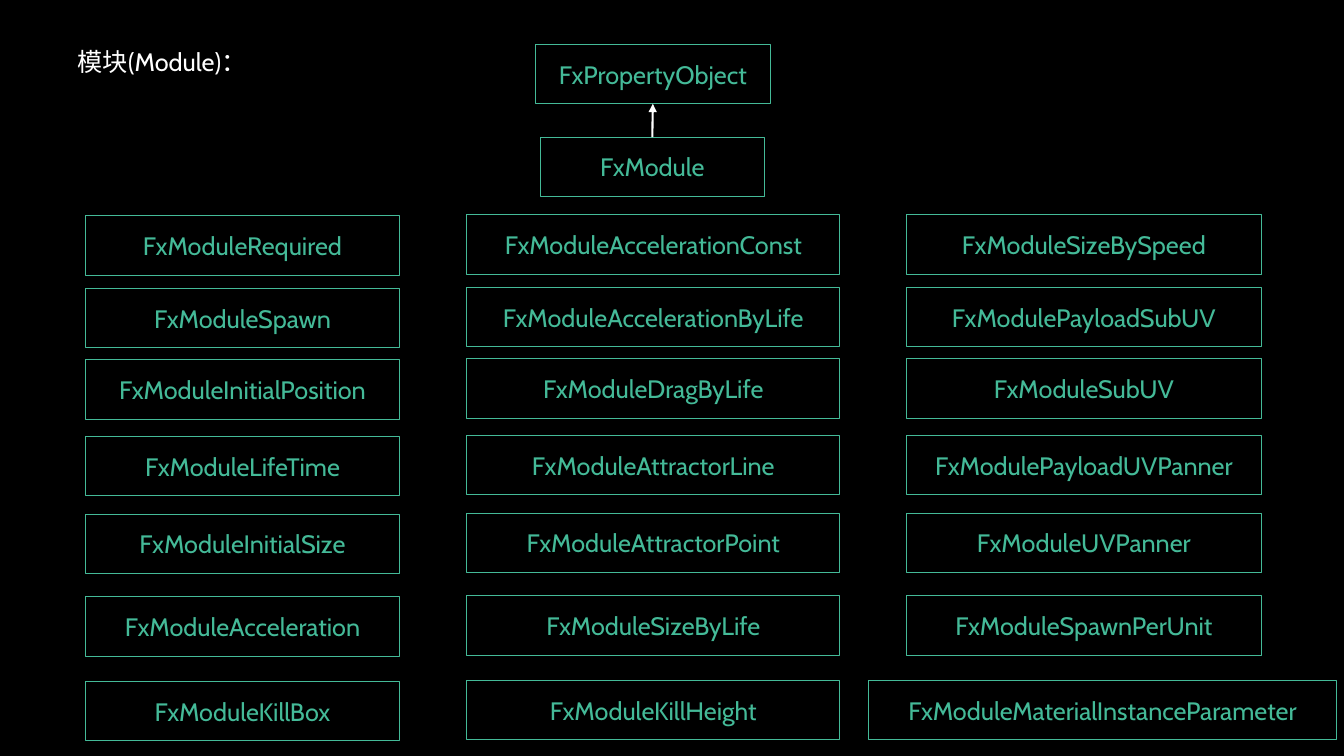
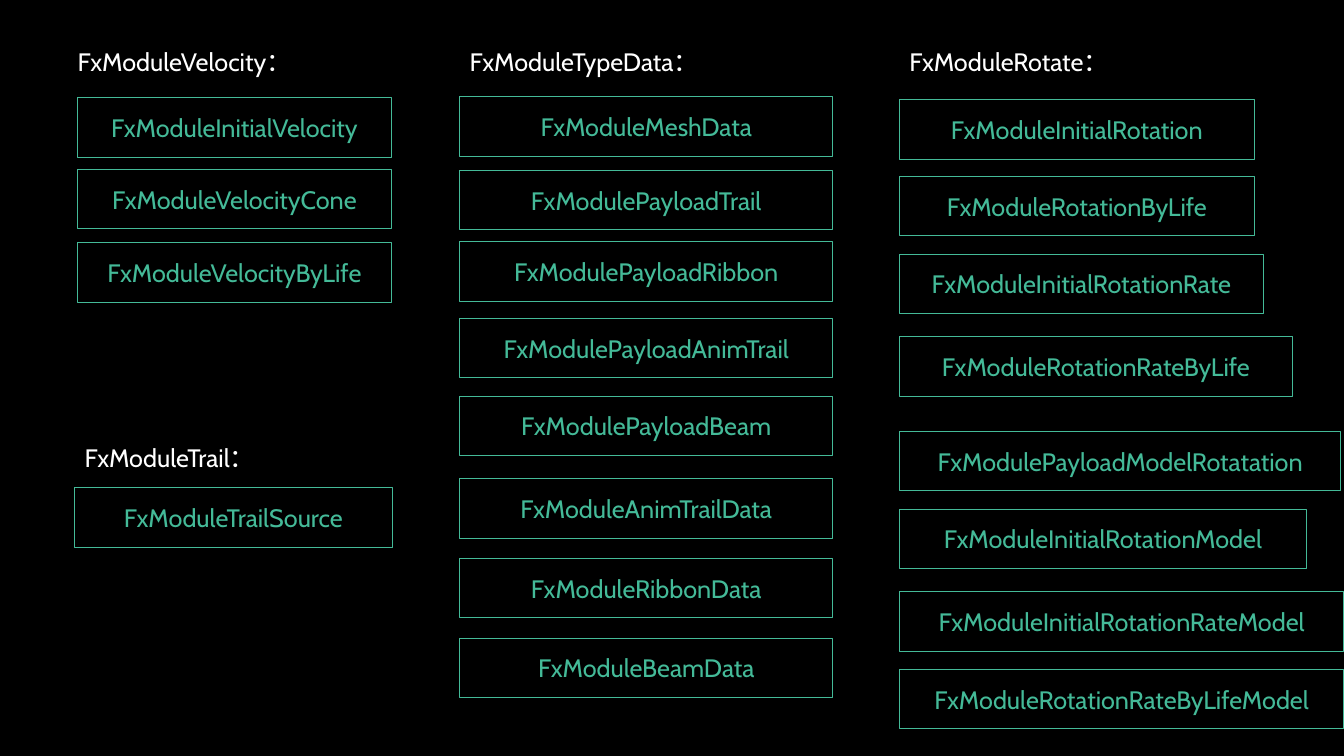
from pptx import Presentation
from pptx.dml.color import RGBColor
from pptx.enum.shapes import MSO_CONNECTOR, MSO_SHAPE
from pptx.enum.text import MSO_ANCHOR, MSO_AUTO_SIZE, PP_ALIGN
from pptx.oxml.ns import qn
from pptx.util import Emu, Pt
from lxml import etree

EMU_PER_PX = 9144
SLIDE_SIZE = (1333, 750)
HEADING_SIZE = (270, 40)
TITLE_AT = (67, 41)
BOX_HEIGHT = 59
TOP_SITE, BOTTOM_SITE = 0, 2

FONT = "Cabin"
FONT_SIZE = 18
BLACK = "000000"
WHITE = "FFFFFF"
GREEN = "44BA98"

ROW_TOPS = [213, 285, 356, 432, 509, 591, 675]

MODULE_SLIDE = {
    "title": "模块(Module)：",
    "headings": [],
    "inheritance": [
        ("FxPropertyObject", 531, 44, 233),
        ("FxModule", 536, 136, 222),
    ],
    "columns": [
        (85, 311, [top + 1 for top in ROW_TOPS], [
            "FxModuleRequired", "FxModuleSpawn", "FxModuleInitialPosition",
            "FxModuleLifeTime", "FxModuleInitialSize",
            "FxModuleAcceleration", "FxModuleKillBox",
        ]),
        (463, 370, ROW_TOPS, [
            "FxModuleAccelerationConst", "FxModuleAccelerationByLife",
            "FxModuleDragByLife", "FxModuleAttractorLine",
            "FxModuleAttractorPoint", "FxModuleSizeByLife",
            "FxModuleKillHeight",
        ]),
        (899, 352, ROW_TOPS[:-1], [
            "FxModuleSizeBySpeed", "FxModulePayloadSubUV", "FxModuleSubUV",
            "FxModulePayloadUVPanner", "FxModuleUVPanner",
            "FxModuleSpawnPerUnit",
        ]),
        (861, 465, ROW_TOPS[-1:], ["FxModuleMaterialInstanceParameter"]),
    ],
}

SUBMODULE_SLIDE = {
    "title": "FxModuleVelocity：",
    "headings": [
        ("FxModuleTypeData：", 456, 41),
        ("FxModuleRotate：", 892, 41),
        ("FxModuleTrail：", 74, 434),
    ],
    "inheritance": [],
    "columns": [
        (77, 311, [97, 168, 241], [
            "FxModuleInitialVelocity", "FxModuleVelocityCone",
            "FxModuleVelocityByLife",
        ]),
        (74, 315, [484], ["FxModuleTrailSource"]),
        (456, 370, [96, 169, 240, 316, 393, 475, 554, 633], [
            "FxModuleMeshData", "FxModulePayloadTrail",
            "FxModulePayloadRibbon", "FxModulePayloadAnimTrail",
            "FxModulePayloadBeam", "FxModuleAnimTrailData",
            "FxModuleRibbonData", "FxModuleBeamData",
        ]),
        (892, 352, [99, 175], [
            "FxModuleInitialRotation", "FxModuleRotationByLife",
        ]),
        (892, 361, [252], ["FxModuleInitialRotationRate"]),
        (892, 390, [334], ["FxModuleRotationRateByLife"]),
        (892, 438, [428], ["FxModulePayloadModelRotatation"]),
        (892, 404, [505], ["FxModuleInitialRotationModel"]),
        (892, 441, [587, 664], [
            "FxModuleInitialRotationRateModel",
            "FxModuleRotationRateByLifeModel",
        ]),
    ],
}


def px(length):
    return Emu(length * EMU_PER_PX)


def color(hex_string):
    return RGBColor.from_string(hex_string)


def write_text(shape, text, text_color, alignment, anchor):
    frame = shape.text_frame
    frame.text = text
    frame.word_wrap = True
    frame.auto_size = MSO_AUTO_SIZE.NONE
    frame.vertical_anchor = anchor
    paragraph = frame.paragraphs[0]
    paragraph.alignment = alignment
    font = paragraph.runs[0].font
    font.name = FONT
    font.size = Pt(FONT_SIZE)
    font.color.rgb = color(text_color)


def write_heading(shape, text):
    write_text(shape, text, WHITE, PP_ALIGN.LEFT, MSO_ANCHOR.TOP)


def add_heading(slide, text, left, top):
    area = map(px, (left, top, *HEADING_SIZE))
    write_heading(slide.shapes.add_textbox(*area), text)


def add_class_box(slide, name, left, top, width):
    area = map(px, (left, top, width, BOX_HEIGHT))
    box = slide.shapes.add_shape(MSO_SHAPE.RECTANGLE, *area)
    box.shadow.inherit = False
    box.fill.background()
    box.line.color.rgb = color(GREEN)
    box.line.width = Pt(0.75)
    write_text(box, name, GREEN, PP_ALIGN.CENTER, MSO_ANCHOR.MIDDLE)
    return box


def add_inheritance_arrow(slide, child, parent):
    arrow = slide.shapes.add_connector(MSO_CONNECTOR.STRAIGHT, 0, 0, 0, 0)
    arrow.begin_connect(child, TOP_SITE)
    arrow.end_connect(parent, BOTTOM_SITE)
    arrow.line.color.rgb = color(WHITE)
    arrow.line.width = Pt(1.5)
    line = arrow.line._get_or_add_ln()
    etree.SubElement(line, qn("a:tailEnd"), type="triangle")
    etree.SubElement(arrow._element.spPr, qn("a:effectLst"))


def add_module_slide(presentation, layout, content):
    slide = presentation.slides.add_slide(layout)
    title = slide.shapes.title
    title.left, title.top, title.width, title.height = map(
        px, (*TITLE_AT, *HEADING_SIZE))
    write_heading(title, content["title"])
    for heading in content["headings"]:
        add_heading(slide, *heading)
    chain = [add_class_box(slide, *entry) for entry in content["inheritance"]]
    for parent, child in zip(chain, chain[1:]):
        add_inheritance_arrow(slide, child, parent)
    for left, width, tops, names in content["columns"]:
        for name, top in zip(names, tops):
            add_class_box(slide, name, left, top, width)


def main():
    presentation = Presentation()
    presentation.slide_width, presentation.slide_height = map(px, SLIDE_SIZE)
    background = presentation.slide_master.background.fill
    background.solid()
    background.fore_color.rgb = color(BLACK)
    layout = presentation.slide_layouts.get_by_name("Title Only")
    for content in (MODULE_SLIDE, SUBMODULE_SLIDE):
        add_module_slide(presentation, layout, content)
    presentation.save("out.pptx")


if __name__ == "__main__":
    main()
